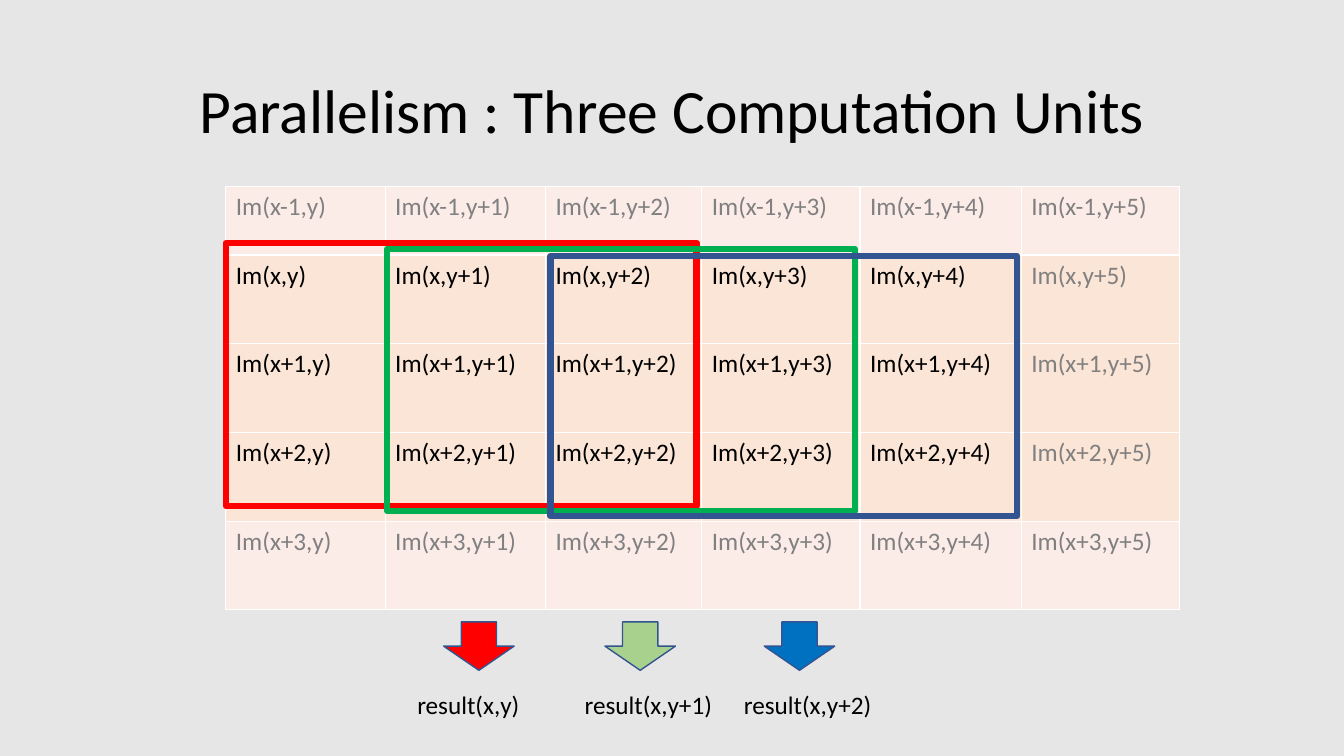
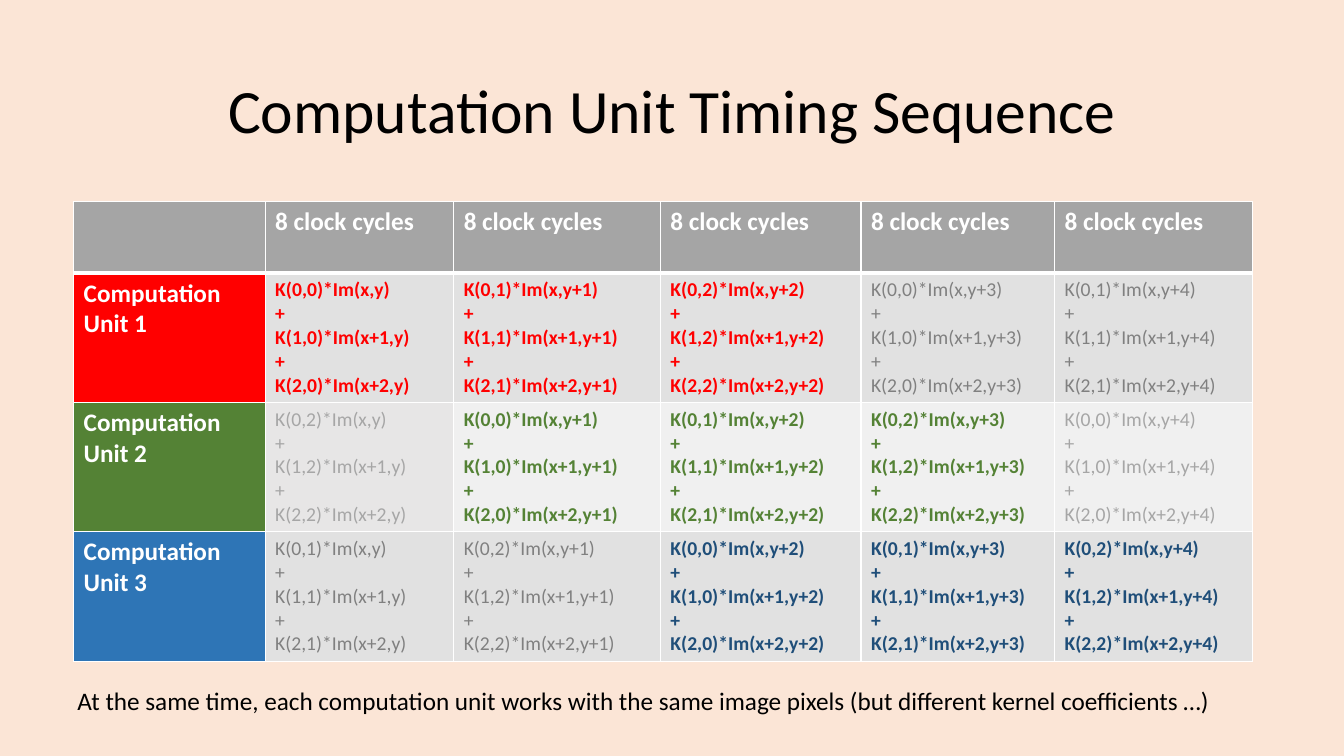
from dataclasses import dataclass
from typing import NamedTuple

from lxml.etree import SubElement
from pptx import Presentation
from pptx.dml.color import RGBColor
from pptx.enum.shapes import MSO_SHAPE as Preset
from pptx.enum.text import MSO_ANCHOR as Anchor, MSO_AUTO_SIZE as AutoSize, PP_ALIGN as Align
from pptx.oxml.ns import qn
from pptx.presentation import Presentation as Deck
from pptx.shapes.autoshape import Shape
from pptx.slide import Slide
from pptx.table import Table, _Cell as Cell
from pptx.text.text import TextFrame
from pptx.util import Pt

EMU_PER_PX = 9144
FONT = "Calibri"
KERNEL_SIZE = 3
TITLE_ONLY = 5
COLORS = {
    "black": "000000",
    "white": "FFFFFF",
    "red": "FF0000",
    "green": "00B050",
    "navy": "325491",
    "light green": "A9D18E",
    "blue": "0070C0",
    "dark green": "548235",
    "steel": "2E75B6",
    "deep blue": "1F4E79",
    "idle": "808080",
    "pale idle": "A6A6A6",
    "header": "A5A5A5",
    "band": "E1E1E1",
    "light band": "F0F0F0",
    "gray": "E7E6E6",
    "peach": "FBE5D6",
    "blush": "FCECE8",
}


class Box(NamedTuple):
    left: int
    top: int
    width: int
    height: int


@dataclass(frozen=True)
class TextStyle:
    size: int = 18
    color: str = "black"
    bold: bool = False


@dataclass(frozen=True)
class Window:
    frame: Box
    frame_color: str
    arrow_left: int
    arrow_color: str
    result: str
    result_left: int
    result_width: int


@dataclass(frozen=True)
class Unit:
    label: str
    label_fill: str
    active: str
    idle: str
    band: str


TITLE_BOX = Box(92, 40, 1150, 145)
WINDOWS = [
    Window(Box(224, 241, 467, 261), "red", 440, "red", "result(x,y)", 404, 129),
    Window(Box(384, 247, 464, 260), "green", 600, "light green", "result(x,y+1)", 570, 150),
    Window(Box(546, 254, 463, 258), "navy", 758, "blue", "result(x,y+2)", 728, 150),
]
UNITS = [
    Unit("Computation Unit 1", "red", "red", "idle", "band"),
    Unit("Computation\nUnit 2", "dark green", "dark green", "pale idle", "light band"),
    Unit("Computation\nUnit 3", "steel", "deep blue", "idle", "band"),
]


def px(length: int) -> int:
    return length * EMU_PER_PX


def scaled(box: Box) -> list[int]:
    return [px(length) for length in box]


def rgb(color: str) -> RGBColor:
    return RGBColor.from_string(COLORS[color])


def write(frame: TextFrame, text: str, style: TextStyle) -> None:
    frame.text = text
    for paragraph in frame.paragraphs:
        for run in paragraph.runs:
            run.font.name = FONT
            run.font.size = Pt(style.size)
            run.font.bold = style.bold
            run.font.color.rgb = rgb(style.color)


def add_titled_slide(deck: Deck, title: str, background: str) -> Slide:
    slide = deck.slides.add_slide(deck.slide_layouts[TITLE_ONLY])
    slide.background.fill.solid()
    slide.background.fill.fore_color.rgb = rgb(background)
    heading = slide.shapes.title
    heading.left, heading.top, heading.width, heading.height = scaled(TITLE_BOX)
    frame = heading.text_frame
    write(frame, title, TextStyle(size=44))
    frame.word_wrap = True
    frame.auto_size = AutoSize.NONE
    frame.vertical_anchor = Anchor.MIDDLE
    frame.paragraphs[0].alignment = Align.CENTER
    frame.paragraphs[0].line_spacing = 0.9
    return slide


def add_label(slide: Slide, box: Box, text: str) -> None:
    frame = slide.shapes.add_textbox(*scaled(box)).text_frame
    write(frame, text, TextStyle())
    frame.word_wrap = True
    frame.auto_size = AutoSize.SHAPE_TO_FIT_TEXT


def add_outlined(slide: Slide, preset: Preset, box: Box, line: str, weight: float) -> Shape:
    shape = slide.shapes.add_shape(preset, *scaled(box))
    shape.shadow.inherit = False
    shape.fill.background()
    shape.line.color.rgb = rgb(line)
    shape.line.width = Pt(weight)
    return shape


def add_grid(slide: Slide, left: int, top: int, widths: list[int], heights: list[int]) -> Table:
    box = Box(left, top, sum(widths), sum(heights))
    table = slide.shapes.add_table(len(heights), len(widths), *scaled(box)).table
    table.first_row = False
    table.horz_banding = False
    for column, width in zip(table.columns, widths):
        column.width = px(width)
    for row, height in zip(table.rows, heights):
        row.height = px(height)
    return table


def fill_cell(cell: Cell, text: str, style: TextStyle, fill: str,
              top: int = 1, bottom: int = 1) -> None:
    properties = cell._tc.get_or_add_tcPr()
    for side, weight in {"L": 1, "R": 1, "T": top, "B": bottom}.items():
        border = SubElement(properties, qn(f"a:ln{side}"), w=str(Pt(weight)))
        solid = SubElement(border, qn("a:solidFill"))
        SubElement(solid, qn("a:srgbClr"), val=COLORS["white"])
    cell.fill.solid()
    cell.fill.fore_color.rgb = rgb(fill)
    if text:
        write(cell.text_frame, text, style)


def offset(name: str, step: int) -> str:
    return f"{name}{step:+d}" if step else name


def pixel(row: int, column: int) -> str:
    return f"Im({offset('x', row)},{offset('y', column)})"


def kernel_sum(kernel_column: int, column: int) -> str:
    return "\n+\n".join(
        f"K({row},{kernel_column})*{pixel(row, column)}" for row in range(KERNEL_SIZE)
    )


def build_parallelism(deck: Deck) -> None:
    slide = add_titled_slide(deck, "Parallelism : Three Computation Units", "gray")
    widths = [158, 159, 155, 157, 160, 157]
    image = add_grid(slide, 224, 185, widths, [68] + [88] * 4)
    last_column = len(widths) - 1
    for row in range(-1, KERNEL_SIZE + 1):
        in_kernel = 0 <= row < KERNEL_SIZE
        for column in range(len(widths)):
            color = "black" if in_kernel and column < last_column else "idle"
            fill_cell(image.cell(row + 1, column), pixel(row, column),
                      TextStyle(color=color), "peach" if in_kernel else "blush")
    for window in WINDOWS:
        add_outlined(slide, Preset.RECTANGLE, window.frame, window.frame_color, 4.5)
    for window in WINDOWS:
        arrow = add_outlined(slide, Preset.DOWN_ARROW,
                             Box(window.arrow_left, 617, 70, 48), "navy", 1)
        arrow.fill.solid()
        arrow.fill.fore_color.rgb = rgb(window.arrow_color)
        add_label(slide, Box(window.result_left, 679, window.result_width, 40), window.result)


def build_timing(deck: Deck) -> None:
    slide = add_titled_slide(deck, "Computation Unit Timing Sequence", "peach")
    widths = [190, 187, 205, 199, 192, 196]
    timing = add_grid(slide, 73, 200, widths, [71] + [128] * len(UNITS))
    heading = TextStyle(color="white", bold=True)
    for column in range(len(widths)):
        fill_cell(timing.cell(0, column), "8 clock cycles" if column else "",
                  heading, "header", bottom=3)
    for index, unit in enumerate(UNITS):
        row = index + 1
        top = 3 if index == 0 else 1
        fill_cell(timing.cell(row, 0), unit.label, heading, unit.label_fill, top=top)
        for column in range(len(widths) - 1):
            lag = column - index
            active = 0 <= lag < KERNEL_SIZE
            style = TextStyle(14, unit.active if active else unit.idle, active)
            band = "gray" if (index, column) == (1, 0) else unit.band
            fill_cell(timing.cell(row, column + 1), kernel_sum(lag % KERNEL_SIZE, column),
                      style, band, top=top)
    add_label(slide, Box(67, 675, 1175, 40),
              "At the same time, each computation unit works with the same image pixels "
              "(but different kernel coefficients …)")


def main() -> None:
    deck = Presentation()
    deck.slide_width, deck.slide_height = px(1333), px(750)
    build_parallelism(deck)
    build_timing(deck)
    deck.save("out.pptx")


if __name__ == "__main__":
    main()
